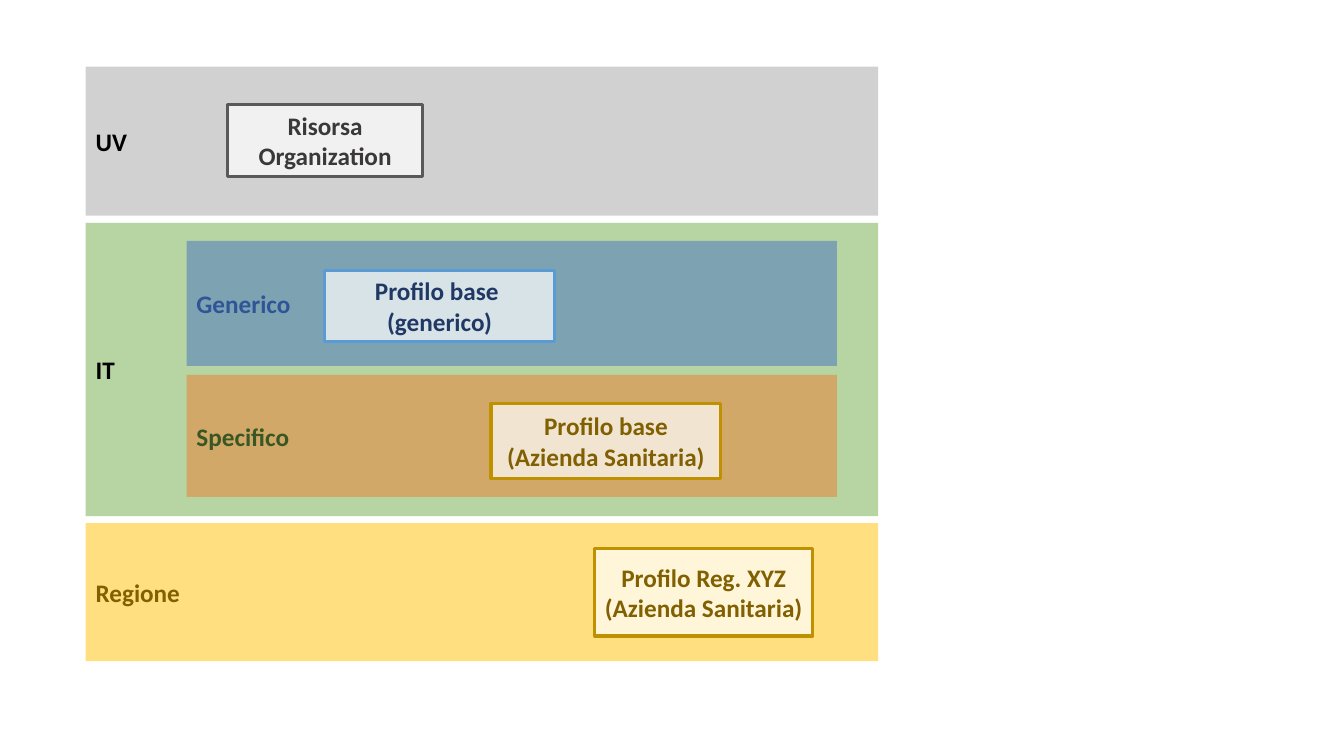
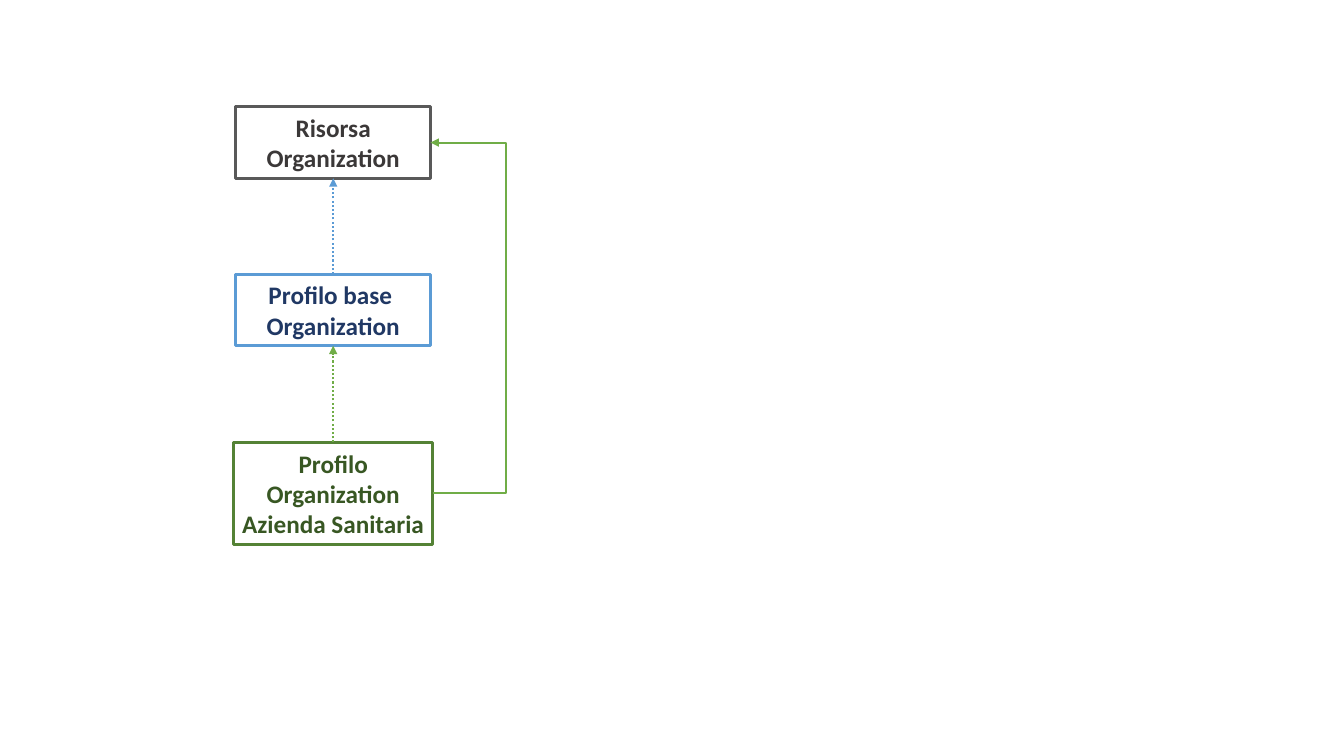
from lxml.etree import SubElement
from pptx import Presentation
from pptx.dml.color import RGBColor
from pptx.enum.dml import MSO_LINE
from pptx.enum.shapes import MSO_CONNECTOR, MSO_SHAPE
from pptx.enum.text import MSO_ANCHOR, PP_ALIGN
from pptx.oxml.ns import qn
from pptx.util import Inches, Pt

FONT = "Calibri"
WHITE, BLACK = "FFFFFF", "000000"
BLUE, GREEN = "5B9BD5", "70AD47"
GRAY_STYLE = ("595959", "3B3838")
BLUE_STYLE = (BLUE, "203864")
GOLD_STYLE = ("BF9000", "806000")
GREEN_STYLE = ("548235", "385723")
BAND_OPACITY, CARD_OPACITY = 50, 70
TOP, LEFT, BOTTOM, RIGHT = range(4)

OUTER_BAND = (0.85, 7.86)
INNER_BAND = (1.85, 6.45)
BANDS = [
    ("UV", OUTER_BAND, 0.66, 1.48, "A5A5A5", BLACK),
    ("IT", OUTER_BAND, 2.21, 2.91, GREEN, BLACK),
    ("Generico", INNER_BAND, 2.39, 1.24, "4472C4", "2F5597"),
    ("Specifico", INNER_BAND, 3.72, 1.21, "ED7D31", "385723"),
    ("Regione", OUTER_BAND, 5.19, 1.37, "FFC000", "806000"),
]
LAYER_CARDS = [
    (["Risorsa", "Organization"], (2.26, 1.04, 1.93, 0.71), GRAY_STYLE),
    (["Profilo base ", "(generico)"], (3.22, 2.68, 2.28, 0.71), BLUE_STYLE),
    (["Profilo base", "(Azienda Sanitaria)"], (4.87, 4, 2.28, 0.75), GOLD_STYLE),
    (["Profilo Reg. XYZ", "(Azienda Sanitaria)"], (5.9, 5.44, 2.16, 0.87), GOLD_STYLE),
]
CHAIN_CARDS = [
    (["Risorsa", "Organization"], (2.34, 1.06, 1.93, 0.71), GRAY_STYLE),
    (["Profilo base ", "Organization"], (2.34, 2.72, 1.93, 0.71), BLUE_STYLE),
    (["Profilo", "Organization", "Azienda Sanitaria"], (2.32, 4.39, 1.97, 1.01), GREEN_STYLE),
]
CHAIN_ARROWS = [BLUE, GREEN]
BYPASS_X = 5.02


def rgb(color):
    return RGBColor.from_string(color)


def add_box(slide, lines, bounds, fill, opacity, text_color, align, wrap, border=None):
    box = slide.shapes.add_shape(MSO_SHAPE.RECTANGLE, *map(Inches, bounds))
    box.shadow.inherit = False
    box.fill.solid()
    box.fill.fore_color.rgb = rgb(fill)
    fill_color = box.fill._xPr.find(qn("a:solidFill"))[0]
    SubElement(fill_color, qn("a:alpha"), val=str(opacity * 1000))
    if border:
        box.line.color.rgb = rgb(border)
        box.line.width = Pt(2.25)
    else:
        box.line.fill.background()
    frame = box.text_frame
    frame.word_wrap = wrap
    frame.vertical_anchor = MSO_ANCHOR.MIDDLE
    for index, line in enumerate(lines):
        paragraph = frame.add_paragraph() if index else frame.paragraphs[0]
        paragraph.alignment = align
        run = paragraph.add_run()
        run.text = line
        run.font.name = FONT
        run.font.size = Pt(18)
        run.font.bold = True
        run.font.color.rgb = rgb(text_color)
    return box


def add_band(slide, label, span, top, height, fill, text_color):
    left, width = span
    return add_box(slide, [label], (left, top, width, height), fill, BAND_OPACITY,
                   text_color, PP_ALIGN.LEFT, True)


def add_card(slide, lines, bounds, style):
    border, text_color = style
    return add_box(slide, lines, bounds, WHITE, CARD_OPACITY, text_color,
                   PP_ALIGN.CENTER, False, border)


def add_arrow(slide, route, source, source_side, target, target_side, color):
    arrow = slide.shapes.add_connector(route, 0, 0, 0, 0)
    arrow.begin_connect(source, source_side)
    arrow.end_connect(target, target_side)
    arrow.line.color.rgb = rgb(color)
    arrow.line.width = Pt(1.5)
    SubElement(arrow.line._get_or_add_ln(), qn("a:tailEnd"), type="triangle")
    SubElement(arrow._element.spPr, qn("a:effectLst"))
    return arrow


def build_layers(slide):
    for band in BANDS:
        add_band(slide, *band)
    for card in LAYER_CARDS:
        add_card(slide, *card)


def build_chain(slide):
    cards = [add_card(slide, *card) for card in CHAIN_CARDS]
    for parent, child, color in zip(cards, cards[1:], CHAIN_ARROWS):
        arrow = add_arrow(slide, MSO_CONNECTOR.STRAIGHT, child, TOP, parent, BOTTOM, color)
        arrow.line.dash_style = MSO_LINE.ROUND_DOT
    bypass = add_arrow(slide, MSO_CONNECTOR.ELBOW, cards[-1], RIGHT, cards[0], RIGHT, GREEN)
    bend = (Inches(BYPASS_X) - bypass.begin_x) / (bypass.end_x - bypass.begin_x)
    guides = bypass._element.spPr.find(qn("a:prstGeom")).get_or_add_avLst()
    SubElement(guides, qn("a:gd"), name="adj1", fmla=f"val {round(bend * 100000)}")


def main():
    deck = Presentation()
    deck.slide_width, deck.slide_height = Inches(13.33), Inches(7.5)
    for build in (build_layers, build_chain):
        build(deck.slides.add_slide(deck.slide_layouts[6]))
    deck.save("out.pptx")


if __name__ == "__main__":
    main()
